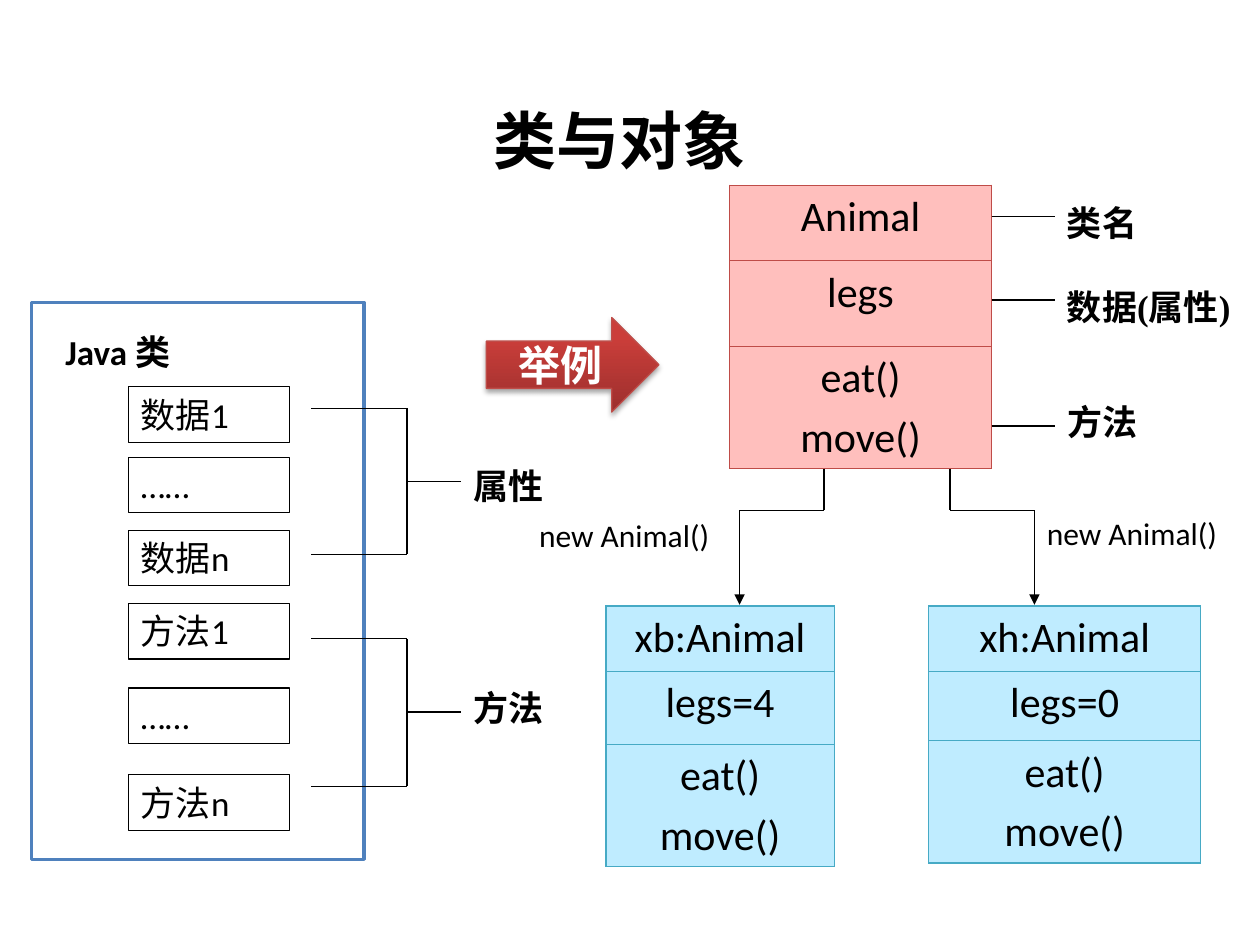
from dataclasses import dataclass
from itertools import pairwise
from lxml.etree import SubElement
from pptx import Presentation
from pptx.dml.color import RGBColor
from pptx.enum.shapes import MSO_CONNECTOR as Connector, MSO_SHAPE as Shape
from pptx.enum.text import MSO_ANCHOR as Anchor, PP_ALIGN as Align
from pptx.oxml import parse_xml
from pptx.oxml.ns import nsdecls, qn
from pptx.util import Inches, Pt


@dataclass(frozen=True)
class Theme:
    latin: str = "Calibri"
    serif: str = "Times New Roman"
    ink: str = "000000"
    paper: str = "FFFFFF"
    panel: str = "4F81BD"
    red: str = "BF4C48"
    pink: str = "FFBFBD"
    teal: str = "46AAC5"
    sky: str = "BFECFF"
    arrow_dark: str = "9C2F2D"
    arrow_light: str = "CB3E3A"
    title: int = 36
    large: int = 24
    body: int = 20
    small: int = 18
    thin: float = 0.75
    thick: float = 2


THEME = Theme()
WIDTH, HEIGHT = Inches(10), Inches(7.5)
COLUMNS, ROWS = 100, 75

TITLE = ("类与对象", (38.2, 7.6, 39.1, 7.1))
PANEL = (2.5, 24, 26.4, 44.2)
PANEL_NAME = ("Java 类", (4.2, 25.7, 18.8, 4.4))
MEMBERS = [("数据1", 30.7), ("……", 36.3), ("数据n", 42.1),
           ("方法1", 47.9), ("……", 54.6), ("方法n", 61.5)]
BRACKETS = [("属性", 32.4, 44, 38.2, 36.4), ("方法", 50.7, 62.4, 56.5, 54)]
ARROW = ("举例", (38.6, 25.2, 13.7, 7.5))
CLASS_PARTS = [("类名", 15.5, 17.2, 8.3), ("数据(属性)", 22.2, 23.8, 16.7),
               ("方法", 31.3, 33.8, 12.5)]
METHODS = "eat()\nmove()"
CARDS = [
    (["Animal", "legs", METHODS], (57.9, 14.7, 20.8), (6, 6.8, 9.7), THEME.red, THEME.pink),
    (["xh:Animal", "legs=0", METHODS], (73.7, 48.1, 21.6), (5.2, 5.5, 9.7), THEME.teal, THEME.sky),
    (["xb:Animal", "legs=4", METHODS], (48.1, 48.1, 18.1), (5.2, 5.8, 9.7), THEME.teal, THEME.sky),
]
INSTANCES = [("new Animal()", 65.4, 58.7, (41.8, 40.5)),
             ("new Animal()", 75.4, 82.1, (82.1, 40.3))]


def across(columns):
    return round(WIDTH * columns / COLUMNS)


def down(rows):
    return round(HEIGHT * rows / ROWS)


def place(box):
    left, top, width, height = box
    return across(left), down(top), across(width), down(height)


def color(value):
    return RGBColor.from_string(value)


def write(frame, text, size, font=THEME.latin, bold=False, ink=THEME.ink, align=Align.LEFT, before=0):
    frame.text = text
    frame.word_wrap = True
    for paragraph in frame.paragraphs:
        paragraph.alignment = align
        paragraph.space_before = Pt(before)
        for run in paragraph.runs:
            run.font.size, run.font.bold, run.font.name = Pt(size), bold, font
            run.font.color.rgb = color(ink)


def add_label(shapes, text, box, size=THEME.body, **style):
    write(shapes.add_textbox(*place(box)).text_frame, text, size, **style)


def add_box(shapes, kind, box, line, weight=THEME.thin):
    shape = shapes.add_shape(kind, *place(box))
    shape.shadow.inherit = False
    shape.fill.background()
    shape.line.color.rgb = color(line)
    shape.line.width = Pt(weight)
    shape.text_frame.vertical_anchor = Anchor.TOP
    return shape


def add_path(shapes, points, arrowhead=False):
    for start, end in pairwise(points):
        line = shapes.add_connector(Connector.STRAIGHT, across(start[0]), down(start[1]),
                                    across(end[0]), down(end[1]))
        line.line.color.rgb = color(THEME.ink)
        line.line.width = Pt(THEME.thin)
        properties = line._element.spPr
        SubElement(properties, qn("a:effectLst"))
        if arrowhead and end == points[-1]:
            SubElement(properties.find(qn("a:ln")), qn("a:tailEnd"), type="triangle")


def add_card(shapes, texts, corner, heights, line, fill):
    left, top, width = corner
    frame = shapes.add_table(len(texts), 1, *place((left, top, width, sum(heights))))
    table = frame.table
    table.first_row = table.horz_banding = False
    for index, (text, height) in enumerate(zip(texts, heights)):
        table.rows[index].height = down(height)
        cell = table.cell(index, 0)
        write(cell.text_frame, text, THEME.large, align=Align.CENTER, before=THEME.large * 0.2)
        cell.fill.solid()
        cell.fill.fore_color.rgb = color(fill)
        properties = cell._tc.get_or_add_tcPr()
        for position, side in enumerate(("lnL", "lnR", "lnT", "lnB")):
            properties.insert(position, parse_xml(
                f'<a:{side} {nsdecls("a")} w="{Pt(THEME.thin)}"><a:solidFill>'
                f'<a:srgbClr val="{line}"/></a:solidFill></a:{side}>'))


def add_java_class(shapes):
    group = shapes.add_group_shape().shapes
    panel = add_box(group, Shape.RECTANGLE, PANEL, THEME.panel, THEME.thick)
    panel.fill.solid()
    panel.fill.fore_color.rgb = color(THEME.paper)
    add_label(group, *PANEL_NAME, bold=True)
    for text, top in MEMBERS:
        member = add_box(group, Shape.RECTANGLE, (10.2, top, 12.8, 4.4), THEME.ink)
        write(member.text_frame, text, THEME.body)
    near, spine, far = 24.7, 32.3, 36.6
    for text, top, bottom, middle, label_top in BRACKETS:
        add_path(group, [(near, top), (spine, top), (spine, bottom), (near, bottom)])
        add_path(group, [(spine, middle), (far, middle)])
        add_label(group, text, (far, label_top, 10.2, 4.3), bold=True)


def add_example_arrow(shapes):
    text, box = ARROW
    arrow = add_box(shapes, Shape.RIGHT_ARROW, box, THEME.red)
    arrow.fill.gradient()
    arrow.fill.gradient_angle = 90
    for stop, value, position in zip(arrow.fill.gradient_stops,
                                     (THEME.arrow_dark, THEME.arrow_light), (0, 0.8)):
        stop.color.rgb = color(value)
        stop.position = position
    effects = arrow._element.spPr.find(qn("a:effectLst"))
    shadow = SubElement(effects, qn("a:outerShdw"), blurRad=str(Pt(3.1)), dist=str(Pt(1.8)),
                        dir="5400000", rotWithShape="0")
    tint = SubElement(shadow, qn("a:srgbClr"), val=THEME.ink)
    SubElement(tint, qn("a:alpha"), val="35000")
    arrow.text_frame.vertical_anchor = Anchor.MIDDLE
    write(arrow.text_frame, text, THEME.large, THEME.serif, True, THEME.paper, Align.CENTER)


def main():
    presentation = Presentation()
    presentation.slide_width, presentation.slide_height = WIDTH, HEIGHT
    shapes = presentation.slides.add_slide(presentation.slide_layouts[6]).shapes
    add_java_class(shapes)
    for card in CARDS:
        add_card(shapes, *card)
    for text, top, level, width in CLASS_PARTS:
        add_label(shapes, text, (83.7, top, width, 4.3), font=THEME.serif, bold=True)
        add_path(shapes, [(78.7, level), (83.7, level)])
    for text, start, end, corner in INSTANCES:
        add_path(shapes, [(start, 37.2), (start, 40.5), (end, 40.5), (end, 48)], arrowhead=True)
        add_label(shapes, text, (*corner, 18.3, 4), THEME.small)
    add_example_arrow(shapes)
    add_label(shapes, *TITLE, THEME.title, font=THEME.serif, bold=True)
    presentation.save("out.pptx")


if __name__ == "__main__":
    main()
